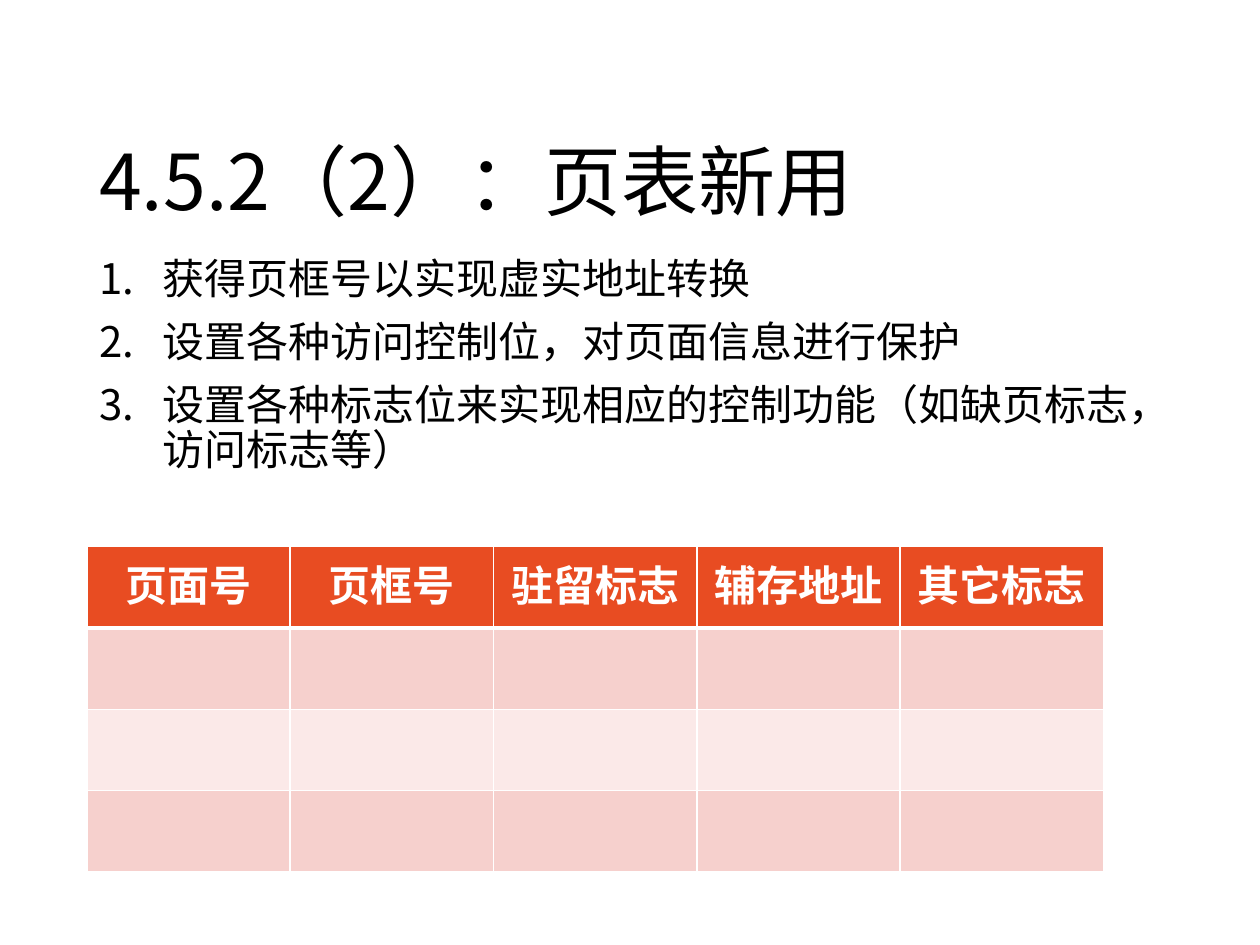
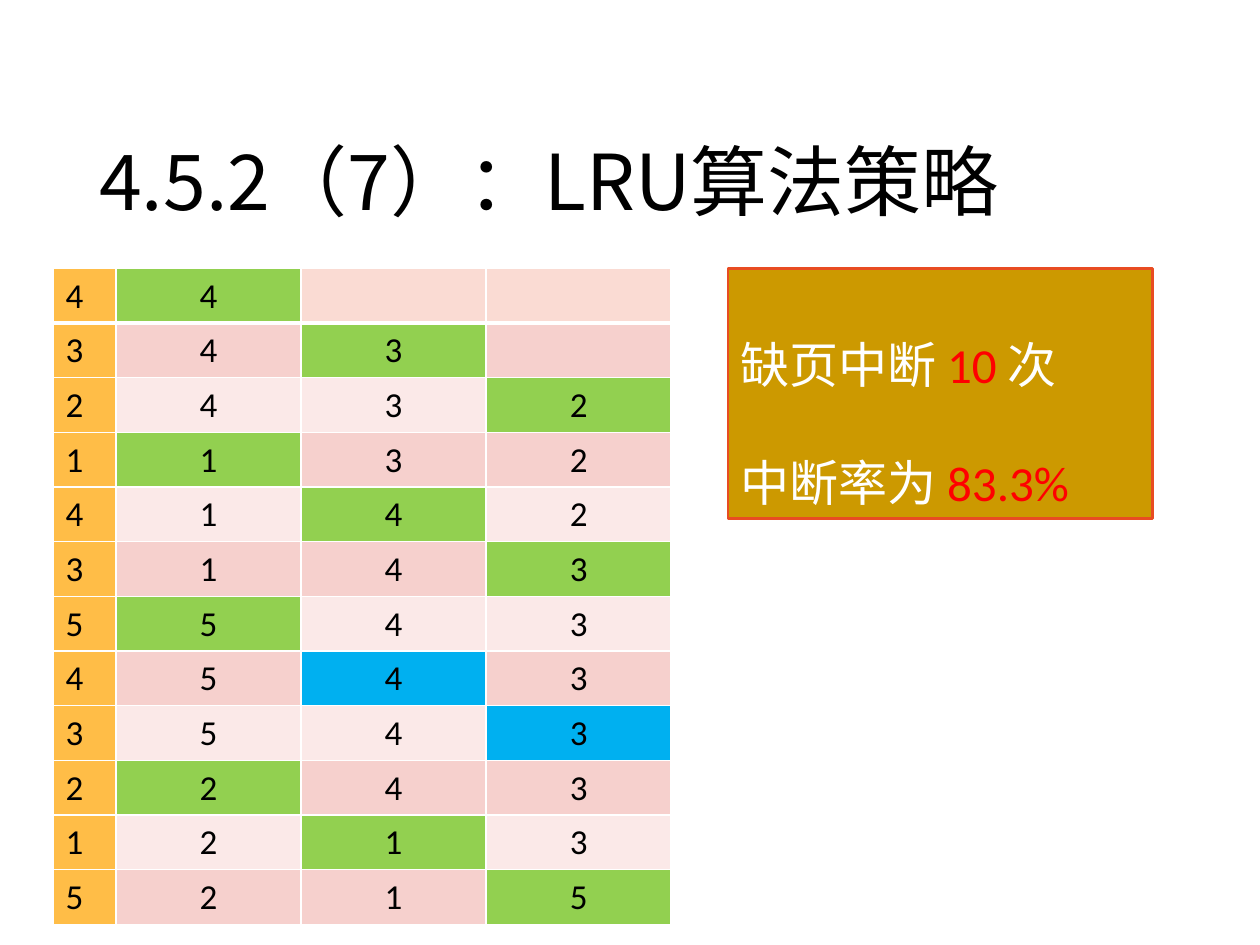
from dataclasses import dataclass

from pptx import Presentation
from pptx.dml.color import RGBColor
from pptx.enum.shapes import MSO_SHAPE
from pptx.enum.text import MSO_ANCHOR as Anchor, PP_ALIGN as Align
from pptx.oxml.ns import qn
from pptx.slide import Slide
from pptx.table import _Cell as Cell
from pptx.text.text import TextFrame, _Paragraph as Paragraph
from pptx.util import Cm, Pt
from lxml.etree import SubElement


@dataclass(frozen=True)
class Theme:
    black: str = "000000"
    white: str = "FFFFFF"
    accent: str = "E84C22"
    dark_band: str = "F6D0CD"
    light_band: str = "FBE9E8"
    first_row: str = "FADBD3"
    request: str = "FFBD47"
    fault: str = "92D050"
    hit: str = "00B0F0"
    gold: str = "CC9900"
    red: str = "FF0000"
    latin: str = "Calibri"
    cjk: str = "Noto Sans CJK SC"
    title_size: int = 44
    result_size: int = 28
    body_size: int = 24
    frame_size: int = 20
    thin: float = 1
    thick: float = 3


@dataclass(frozen=True)
class Box:
    left: float
    top: float
    width: float
    height: float

    def lengths(self) -> tuple[Cm, Cm, Cm, Cm]:
        return Cm(self.left), Cm(self.top), Cm(self.width), Cm(self.height)


@dataclass(frozen=True)
class CellItem:
    text: str
    fill: str
    color: str = Theme.black
    size: int = Theme.frame_size
    bold: bool = False
    align: Align = Align.CENTER


THEME = Theme()
TITLE_BOX = Box(1.75, 1.02, 21.9, 3.68)
BODY_BOX = Box(1.75, 5.08, 21.9, 5.59)
RESULT_BOX = Box(14.68, 5.41, 8.56, 5.05)
LIST_INDENT = Cm(1.27)

PAGE_TABLE_USES = [
    "获得页框号以实现虚实地址转换",
    "设置各种访问控制位，对页面信息进行保护",
    "设置各种标志位来实现相应的控制功能（如缺页标志，访问标志等）",
]
PAGE_TABLE_FIELDS = ["页面号", "页框号", "驻留标志", "辅存地址", "其它标志"]
PAGE_REQUESTS = "432143543215"
FRAME_COUNT = 3
RESULT_LINES = [
    [("缺页中断 ", THEME.white), ("10", THEME.red), (" 次", THEME.white)],
    [("中断率为 ", THEME.white), ("83.3%", THEME.red)],
]


def add_text(paragraph: Paragraph, text: str, *, size: int, color: str = THEME.black,
             font: str = THEME.latin, bold: bool = False, align: Align = Align.LEFT,
             line_spacing: float | None = None) -> None:
    paragraph.alignment = align
    if line_spacing:
        paragraph.line_spacing = line_spacing
    run = paragraph.add_run()
    run.text = text
    run.font.size = Pt(size)
    run.font.bold = bold
    run.font.color.rgb = RGBColor.from_string(color)
    run.font.name = font
    SubElement(run.font._element, qn("a:ea"), typeface=THEME.cjk)


def next_paragraph(frame: TextFrame, index: int) -> Paragraph:
    return frame.add_paragraph() if index else frame.paragraphs[0]


def add_text_box(slide: Slide, box: Box, anchor: Anchor) -> TextFrame:
    frame = slide.shapes.add_textbox(*box.lengths()).text_frame
    frame.word_wrap = True
    frame.vertical_anchor = anchor
    return frame


def add_titled_slide(presentation: Presentation, title: str) -> Slide:
    slide = presentation.slides.add_slide(presentation.slide_layouts[6])
    frame = add_text_box(slide, TITLE_BOX, Anchor.BOTTOM)
    add_text(frame.paragraphs[0], title, size=THEME.title_size, font=THEME.cjk,
             line_spacing=0.9)
    return slide


def add_numbered_list(slide: Slide, items: list[str]) -> None:
    frame = add_text_box(slide, BODY_BOX, Anchor.TOP)
    for index, item in enumerate(items):
        paragraph = next_paragraph(frame, index)
        paragraph.space_before = Pt(10 if index else 0)
        paragraph.line_spacing = 0.9
        properties = paragraph._p.get_or_add_pPr()
        properties.set("marL", str(LIST_INDENT))
        properties.set("indent", str(-LIST_INDENT))
        SubElement(properties, qn("a:buAutoNum"), type="arabicPeriod")
        add_text(paragraph, item, size=THEME.body_size, font=THEME.cjk)


def set_borders(cell: Cell, row: int) -> None:
    widths = {
        "lnL": THEME.thin,
        "lnR": THEME.thin,
        "lnT": THEME.thick if row == 1 else THEME.thin,
        "lnB": THEME.thick if row == 0 else THEME.thin,
    }
    properties = cell._tc.get_or_add_tcPr()
    for side, width in widths.items():
        line = SubElement(properties, qn(f"a:{side}"), w=str(Pt(width)))
        fill = SubElement(line, qn("a:solidFill"))
        SubElement(fill, qn("a:srgbClr"), val=THEME.white)


def add_grid(slide: Slide, left: float, top: float, column_widths: list[float],
             row_height: float, rows: list[list[CellItem]]) -> None:
    box = Box(left, top, sum(column_widths), row_height * len(rows))
    table = slide.shapes.add_table(len(rows), len(column_widths), *box.lengths()).table
    table.first_row = table.horz_banding = False
    for column, width in zip(table.columns, column_widths):
        column.width = Cm(width)
    for row_index, items in enumerate(rows):
        table.rows[row_index].height = Cm(row_height)
        for column_index, item in enumerate(items):
            cell = table.cell(row_index, column_index)
            set_borders(cell, row_index)
            cell.fill.solid()
            cell.fill.fore_color.rgb = RGBColor.from_string(item.fill)
            if item.text:
                add_text(cell.text_frame.paragraphs[0], item.text, size=item.size,
                         color=item.color, bold=item.bold, align=item.align)


def band(row: int) -> str:
    return THEME.dark_band if row % 2 else THEME.light_band


def page_table_rows() -> list[list[CellItem]]:
    header = [CellItem(field, THEME.accent, THEME.white, THEME.body_size, bold=True)
              for field in PAGE_TABLE_FIELDS]
    return [header] + [[CellItem("", band(row)) for _ in header] for row in range(1, 4)]


def lru_rows() -> list[list[CellItem]]:
    frames = [""] * FRAME_COUNT
    last_used = [-1] * FRAME_COUNT
    rows = []
    for step, page in enumerate(PAGE_REQUESTS):
        is_hit = page in frames
        target = frames.index(page) if is_hit else last_used.index(min(last_used))
        frames[target] = page
        last_used[target] = step
        fills = [band(step) if step else THEME.first_row] * FRAME_COUNT
        fills[target] = THEME.hit if is_hit else THEME.fault
        request = CellItem(page, THEME.request, align=Align.LEFT)
        rows.append([request] + [CellItem(*pair) for pair in zip(frames, fills)])
    return rows


def add_result_panel(slide: Slide) -> None:
    shape = slide.shapes.add_shape(MSO_SHAPE.RECTANGLE, *RESULT_BOX.lengths())
    shape.shadow.inherit = False
    shape.fill.solid()
    shape.fill.fore_color.rgb = RGBColor.from_string(THEME.gold)
    shape.line.color.rgb = RGBColor.from_string(THEME.accent)
    shape.line.width = Pt(1.5)
    frame = shape.text_frame
    frame.word_wrap = True
    frame.vertical_anchor = Anchor.MIDDLE
    for index, parts in enumerate(RESULT_LINES):
        paragraph = next_paragraph(frame, index)
        for text, color in parts:
            add_text(paragraph, text, size=THEME.result_size, color=color, line_spacing=2.0)


def main() -> None:
    presentation = Presentation()
    presentation.slide_width, presentation.slide_height = Cm(25.4), Cm(19.05)

    page_table_slide = add_titled_slide(presentation, "4.5.2（2）：页表新用")
    add_numbered_list(page_table_slide, PAGE_TABLE_USES)
    add_grid(page_table_slide, 1.75, 11.02, [4.1] * 5, 1.64, page_table_rows())

    lru_slide = add_titled_slide(presentation, "4.5.2（7）：LRU算法策略")
    add_grid(lru_slide, 1.07, 5.41, [1.27] + [3.73] * FRAME_COUNT, 1.1, lru_rows())
    add_result_panel(lru_slide)

    presentation.save("out.pptx")


if __name__ == "__main__":
    main()
